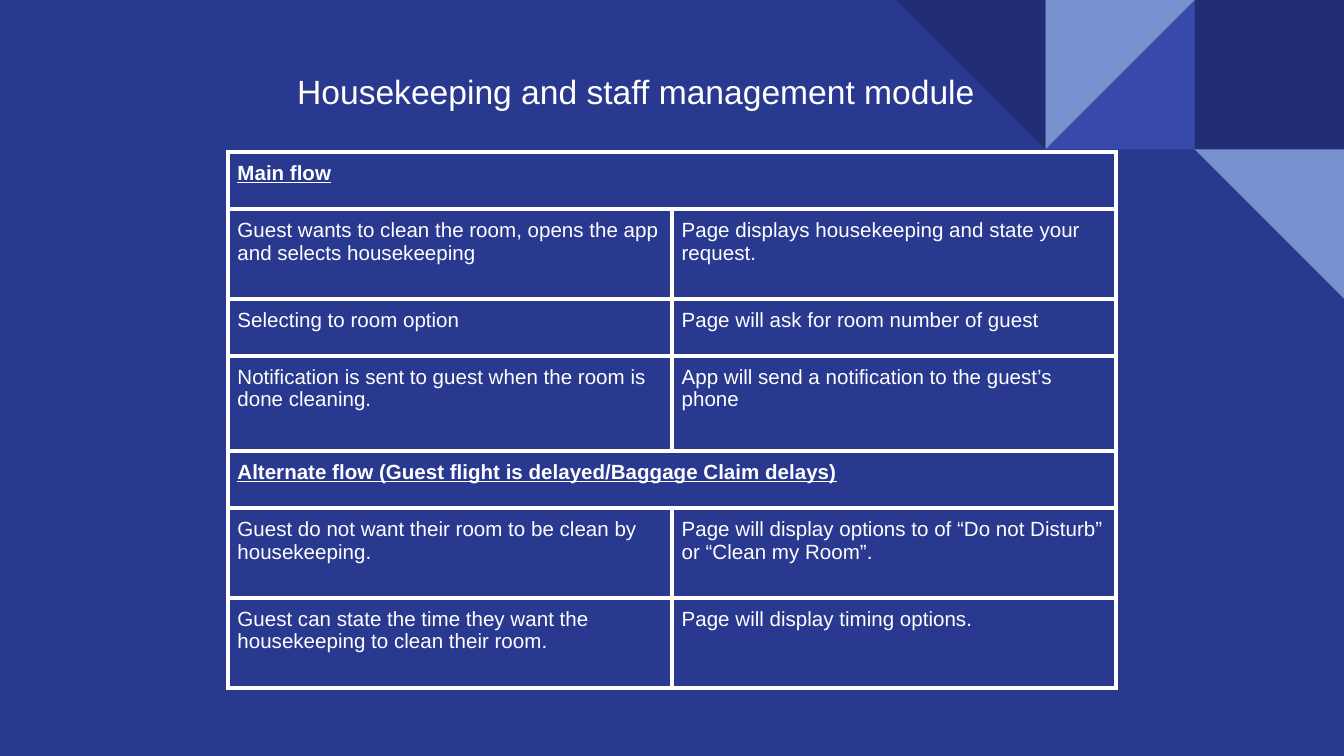
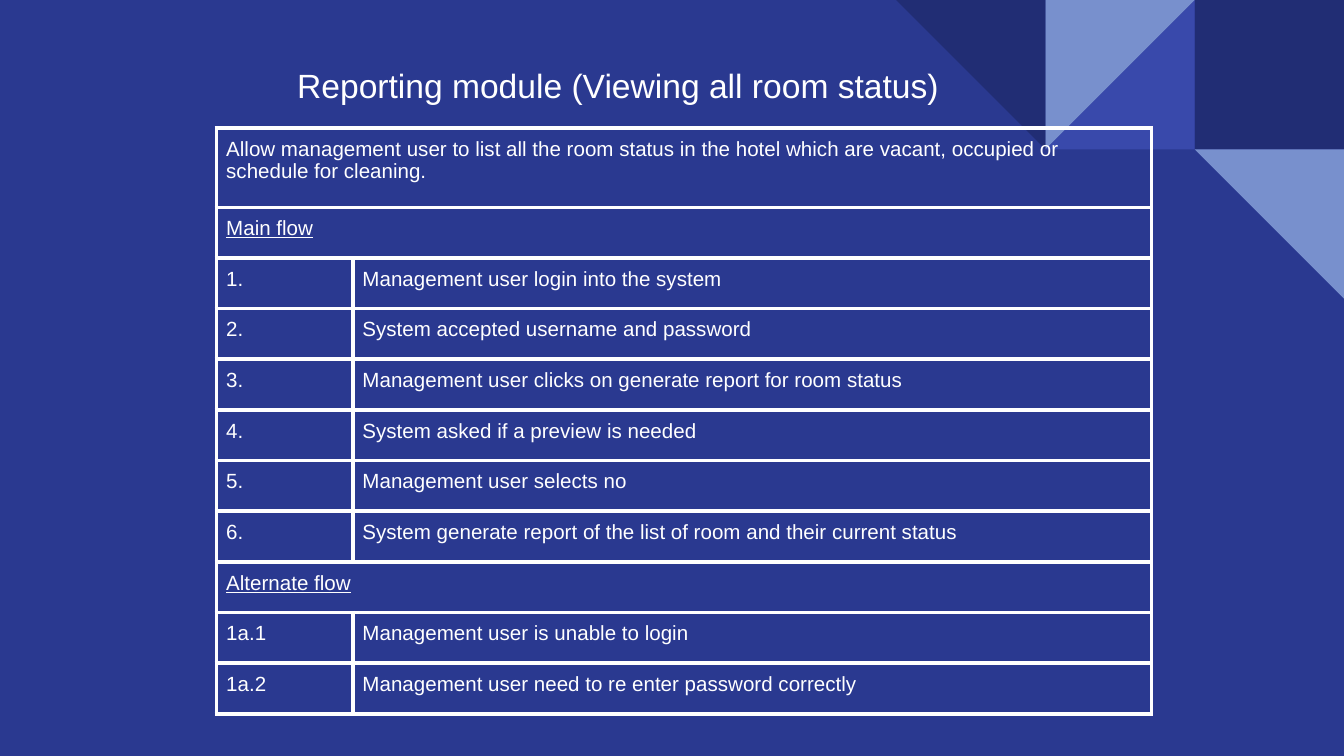
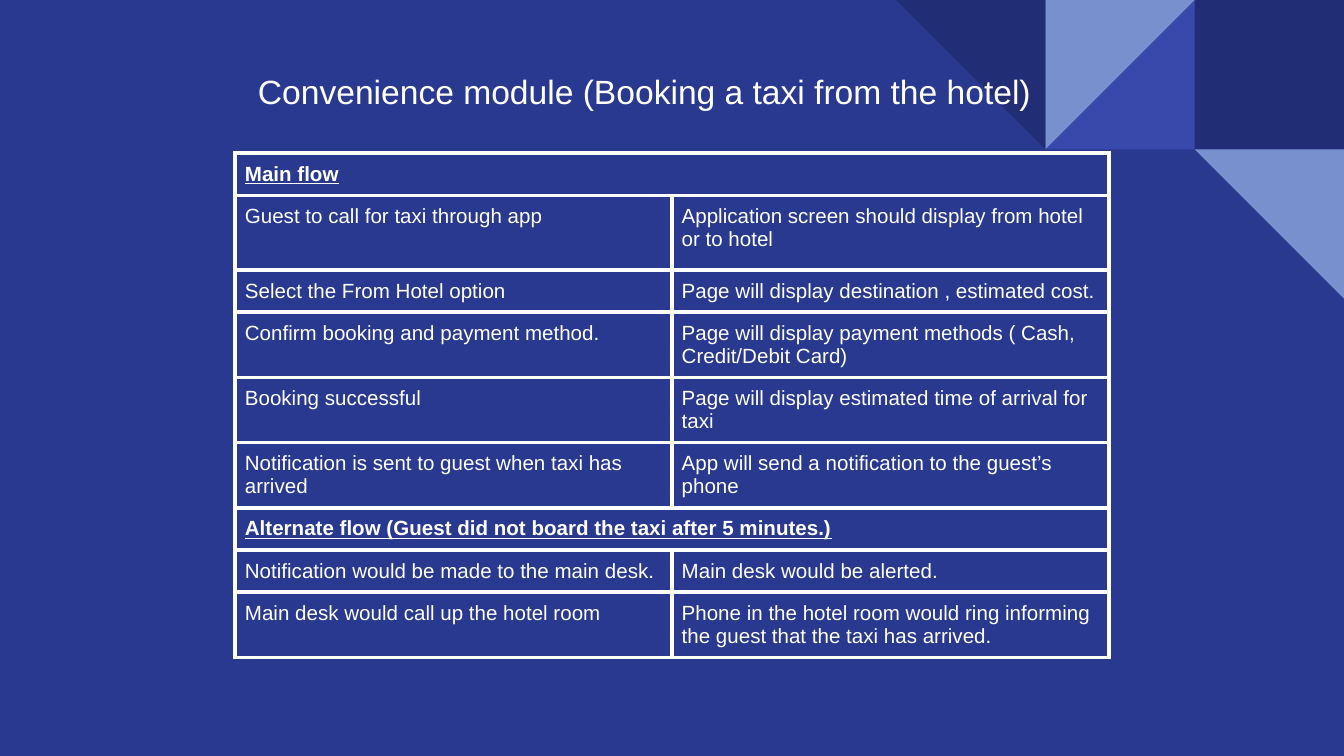
"""Build three hotel use-case slides, each with a title and a flow table."""
from lxml.etree import SubElement
from pptx import Presentation
from pptx.dml.color import RGBColor
from pptx.enum.shapes import MSO_SHAPE
from pptx.enum.text import MSO_ANCHOR, MSO_AUTO_SIZE, PP_ALIGN
from pptx.oxml.ns import qn
from pptx.util import Pt

BLUE, NAVY, INDIGO, SKY, WHITE = "2A3990", "212D74", "3949AB", "7890CD", "FFFFFF"
FONT = "Arial"
TILE = 80
INSET = 5.2


def paint(fill, color):
    """Make a fill solid in the given hex colour."""
    fill.solid()
    fill.fore_color.rgb = RGBColor.from_string(color)


def write(tf, text, size=11, bold=False, underline=False, color=WHITE):
    """Write one left-aligned run into a text frame."""
    p = tf.paragraphs[0]
    p.alignment = PP_ALIGN.LEFT
    r = p.add_run()
    r.text = text
    r.font.name, r.font.size = FONT, Pt(size)
    r.font.bold, r.font.underline = bold, underline
    paint(r.font.fill, color)


tiles = [
    (MSO_SHAPE.RECTANGLE, 8, 0, 0, NAVY),
    (MSO_SHAPE.RIGHT_TRIANGLE, 7, 0, 270, INDIGO),
    (MSO_SHAPE.RIGHT_TRIANGLE, 7, 0, 90, SKY),
    (MSO_SHAPE.RIGHT_TRIANGLE, 6, 0, 180, NAVY),
    (MSO_SHAPE.RIGHT_TRIANGLE, 8, 1, 180, SKY),
]

slides = [
    {
        "title": "Housekeeping and staff management module",
        "title_box": (152, 29.5, 416, 39),
        "table_at": (122, 81.5),
        "cols": (238, 238),
        "bold_heads": True,
        "rows": [
            (30.5, "Main flow"),
            (48.2, "Guest wants to clean the room, opens the app and selects housekeeping",
             "Page displays housekeeping and state your request."),
            (30.5, "Selecting to room option", "Page will ask for room number of guest"),
            (51, "Notification is sent to guest when the room is done cleaning.",
             "App will send a notification to the guest’s phone"),
            (30.5, "Alternate flow (Guest flight is delayed/Baggage Claim delays)"),
            (48.2, "Guest do not want their room to be clean by housekeeping.",
             "Page will display options to of “Do not Disturb” or “Clean my Room”."),
            (48.2, "Guest can state the time they want the housekeeping to clean their room.",
             "Page will display timing options."),
        ],
    },
    {
        "title": "Reporting module (Viewing all room status)",
        "title_box": (152, 26, 416, 39),
        "table_at": (116, 68.5),
        "cols": (73, 428),
        "bold_heads": False,
        "rows": [
            (42.6, "Allow management user to list all the room status in the hotel "
             "which are vacant, occupied or schedule for cleaning."),
            (27.15, "Main flow"),
            (27.15, "1.", "Management user login into the system"),
            (27.15, "2.", "System accepted username and password"),
            (27.15, "3.", "Management user clicks on generate report for room status"),
            (27.15, "4.", "System asked if a preview is needed"),
            (27.15, "5.", "Management user selects no"),
            (27.15, "6.", "System generate report of the list of room and their current status"),
            (27.15, "Alternate flow"),
            (27.15, "1a.1", "Management user is unable to login"),
            (27.15, "1a.2", "Management user need to re enter password correctly"),
        ],
    },
    {
        "title": "Convenience module (Booking a taxi from the hotel)",
        "title_box": (131, 29.5, 458, 39),
        "table_at": (126, 82),
        "cols": (234, 234),
        "bold_heads": True,
        "rows": [
            (22.2, "Main flow"),
            (40, "Guest to call for taxi through app",
             "Application screen should display from hotel or to hotel"),
            (22.2, "Select the From Hotel option",
             "Page will display destination , estimated cost."),
            (34.5, "Confirm booking and payment method.",
             "Page will display payment methods ( Cash, Credit/Debit Card)"),
            (34.5, "Booking successful",
             "Page will display estimated time of arrival for taxi"),
            (34.5, "Notification is sent to guest when taxi has arrived",
             "App will send a notification to the guest’s phone"),
            (22.2, "Alternate flow (Guest did not board the taxi after 5 minutes.)"),
            (22.2, "Notification would be made to the main desk.",
             "Main desk would be alerted."),
            (34.5, "Main desk would call up the hotel room",
             "Phone in the hotel room would ring informing the guest that the taxi has arrived."),
        ],
    },
]

prs = Presentation()
prs.slide_width, prs.slide_height = Pt(720), Pt(405)
master = prs.slide_master
paint(master.background.fill, BLUE)

for page in slides:
    s = prs.slides.add_slide(prs.slide_layouts[5])

    if page is slides[0]:
        for i, (kind, col, row, angle, color) in enumerate(tiles):
            sp = s.shapes.add_shape(kind, Pt(col * TILE), Pt(row * TILE), Pt(TILE), Pt(TILE))
            sp.rotation = angle
            sp.shadow.inherit = False
            paint(sp.fill, color)
            sp.line.fill.background()
            sp.element.nvSpPr.cNvPr.set("id", str(20 + i))
            master.shapes.element.insert(2 + i, sp.element)

    title = s.shapes.title
    title.left, title.top, title.width, title.height = [Pt(v) for v in page["title_box"]]
    tf = title.text_frame
    tf.word_wrap, tf.auto_size = True, MSO_AUTO_SIZE.NONE
    tf.vertical_anchor = MSO_ANCHOR.MIDDLE
    tf.margin_left = tf.margin_right = tf.margin_top = tf.margin_bottom = Pt(7.2)
    write(tf, page["title"], size=18)

    rows, cols = page["rows"], page["cols"]
    left, top = page["table_at"]
    height = sum(row[0] for row in rows)
    table = s.shapes.add_table(len(rows), len(cols), Pt(left), Pt(top),
                               Pt(sum(cols)), Pt(height)).table
    table.first_row = table.horz_banding = False
    for column, width in zip(table.columns, cols):
        column.width = Pt(width)

    for i, (row_height, *texts) in enumerate(rows):
        table.rows[i].height = Pt(row_height)
        for cell in table.rows[i].cells:
            cell.margin_left = cell.margin_right = Pt(INSET)
            cell.margin_top = cell.margin_bottom = Pt(INSET)
            tcPr = cell._tc.get_or_add_tcPr()
            for side in ("a:lnL", "a:lnR", "a:lnT", "a:lnB"):
                ln = SubElement(tcPr, qn(side), w=str(Pt(2.25)))
                SubElement(SubElement(ln, qn("a:solidFill")), qn("a:srgbClr"), val=WHITE)
            cell.fill.background()
        if len(texts) == 1:
            table.cell(i, 0).merge(table.cell(i, 1))
        head = len(texts) == 1 and texts[0].startswith(("Main flow", "Alternate flow"))
        for j, text in enumerate(texts):
            write(table.cell(i, j).text_frame, text, underline=head,
                  bold=head and page["bold_heads"])

prs.save("out.pptx")
